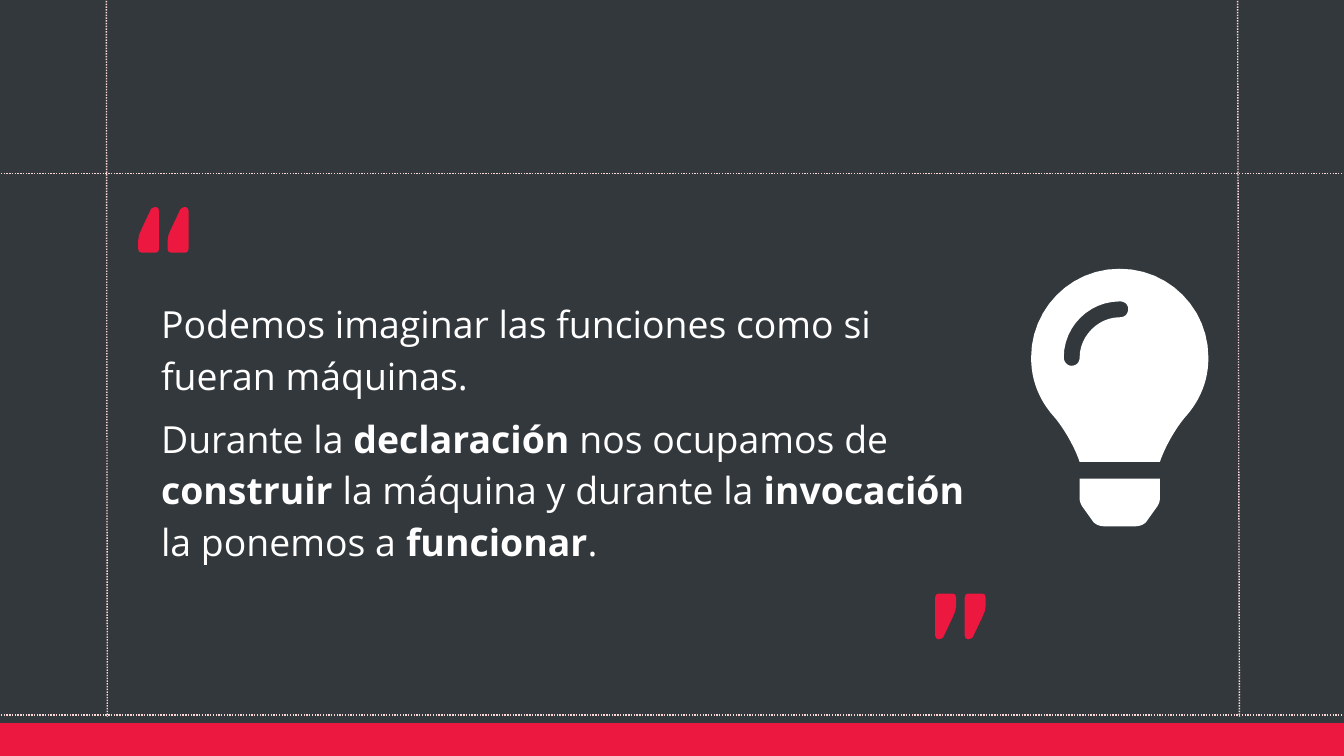
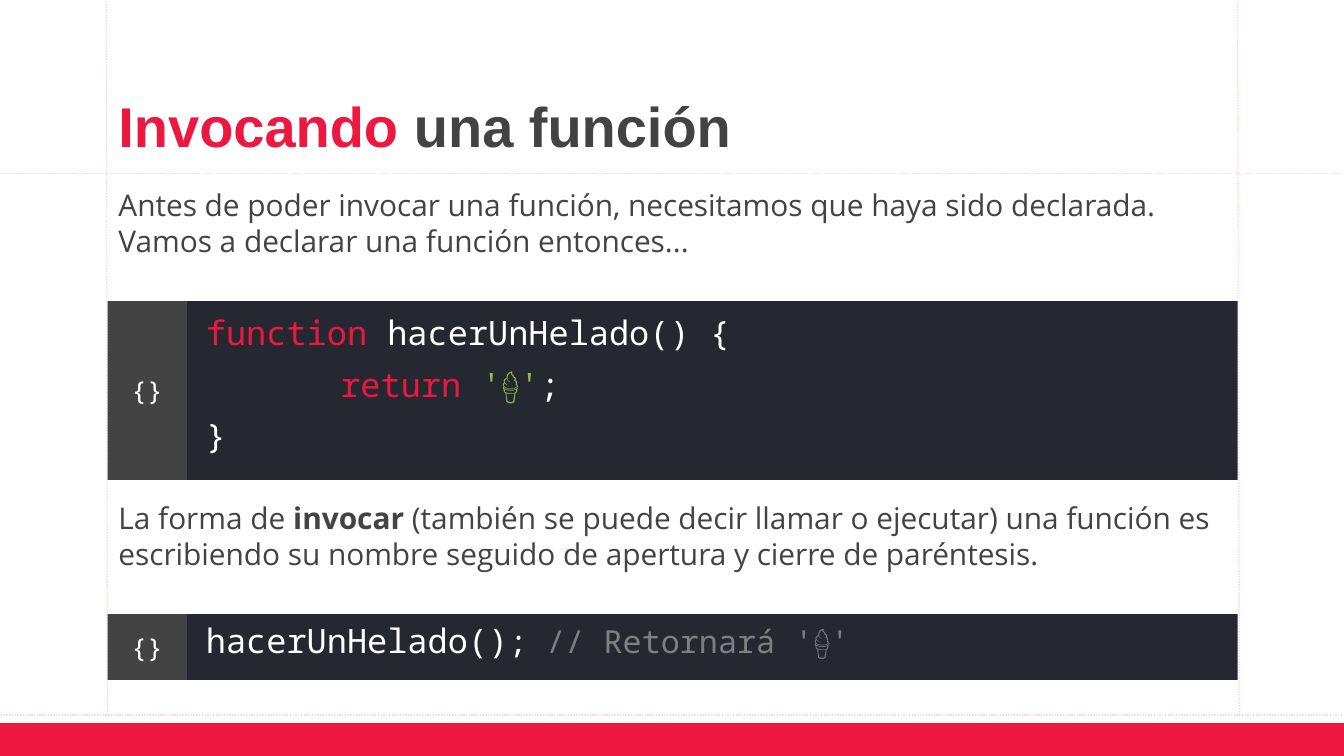
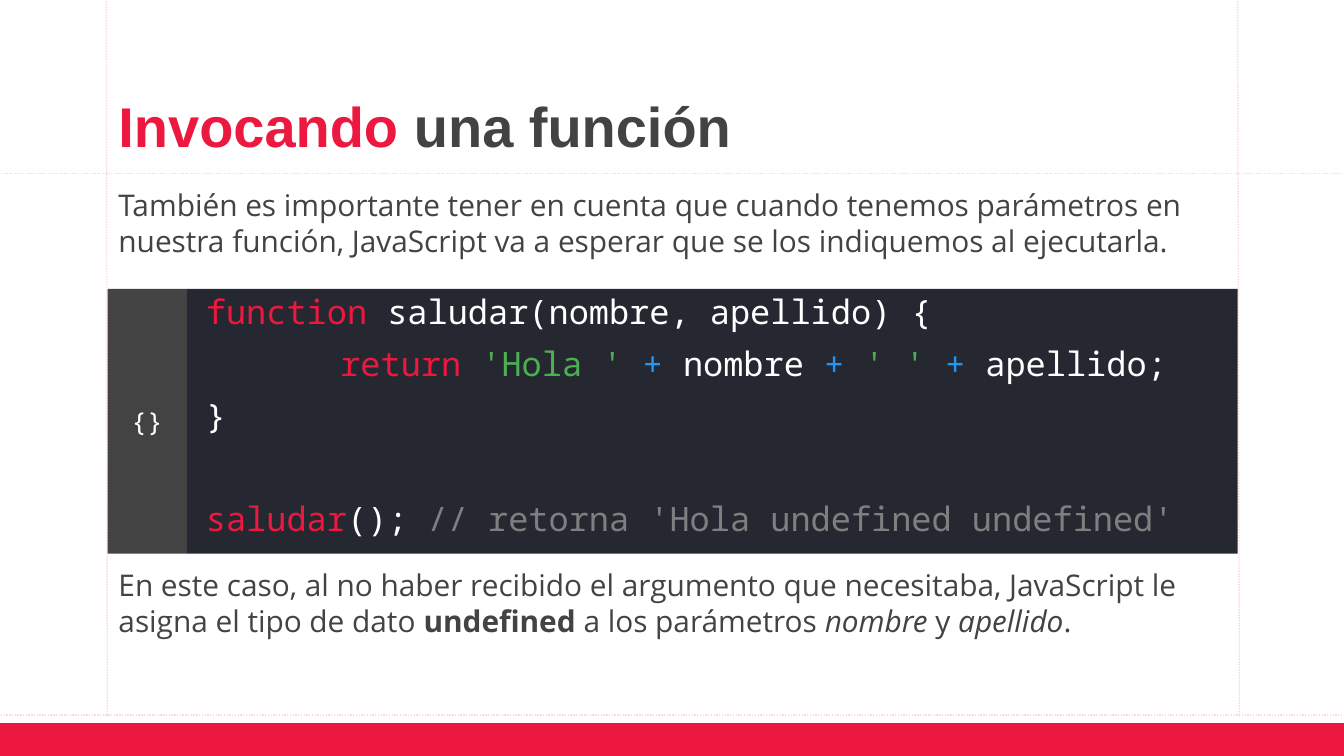
from lxml import etree
from pptx import Presentation
from pptx.dml.color import RGBColor
from pptx.enum.dml import MSO_LINE
from pptx.enum.shapes import MSO_CONNECTOR, MSO_SHAPE
from pptx.enum.text import MSO_ANCHOR, PP_ALIGN
from pptx.oxml.ns import qn
from pptx.util import Pt

STRAIGHT = MSO_CONNECTOR.STRAIGHT
RECTANGLE = MSO_SHAPE.RECTANGLE
DOTTED = MSO_LINE.ROUND_DOT
TOP, MIDDLE, BOTTOM = MSO_ANCHOR.TOP, MSO_ANCHOR.MIDDLE, MSO_ANCHOR.BOTTOM
LEFT, CENTER = PP_ALIGN.LEFT, PP_ALIGN.CENTER

WIDTH, HEIGHT = 720, 405
COLORS = {
    "red": "EC183F", "slate": "33383C", "white": "FFFFFF", "guide": "FCD8D6",
    "gray": "434343", "code": "262831", "comment": "7F7F7F",
    "lime": "8BC34A", "green": "4CAF50", "blue": "2196F3",
}
QUOTE_STYLE = {"name": "Open Sans", "size": Pt(20), "color": "white"}
BODY_STYLE = {"name": "Open Sans", "size": Pt(16), "color": "gray"}
TITLE_STYLE = {"name": "Arial", "size": Pt(30), "bold": True, "color": "gray"}
CODE_STYLE = {"name": "Noto Sans Mono", "size": Pt(18), "color": "white"}
BADGE_STYLE = {**CODE_STYLE, "size": Pt(14)}
BOLD, ITALIC = {"bold": True}, {"italic": True}
RED, COMMENT = {"color": "red"}, {"color": "comment"}
LIME, GREEN, BLUE = {"color": "lime"}, {"color": "green"}, {"color": "blue"}

GUIDES = [(57, -1, 57.5, 384), (663, -1, 664, 384),
          (-1, 93, 722, 93), (-1, 383, 722, 383)]
BAND_BOX = (-1, 387.4, 722, 19.4)
TITLE_BOX = (56.4, 43, 607, 50)
BODY_LEFT, BODY_WIDTH, BODY_HEIGHT = 56.4, 607, 38
CODE_LEFT, CODE_WIDTH, BADGE_WIDTH = 57.6, 605.5, 42.5
PARAGRAPH_GAP = 6
CODE_LINE_PITCH = 27.6

# Outlines: a pair is a corner, six numbers are a Bézier curve to the last pair.
BULB_CONTOURS = [
    [(26, 123), (26, 124.5, 26.5, 126, 27.5, 127.5), (32.5, 134.5),
     (34, 137, 36.5, 138, 39.5, 138), (55.5, 138),
     (58.5, 138, 61, 137, 62.5, 134.5), (67.5, 127.5),
     (68.5, 126, 69, 124.5, 69, 123), (69, 112.5), (26, 112.5)],
    [(0, 47.5), (0, 60, 4.5, 70.5, 12, 79), (16.5, 84, 23, 94.5, 26, 103.5),
     (69, 103.5), (72, 94.5, 78.5, 84, 83, 79), (90.5, 70.5, 95, 60, 95, 47.5),
     (95, 21.5, 74, 0, 47.5, 0), (20.5, 0, 0, 22, 0, 47.5)],
    [(47.5, 26), (36, 26, 26, 36, 26, 47.5), (26, 50, 24.5, 52, 21.5, 52),
     (19.5, 52, 17.5, 50, 17.5, 47.5), (17.5, 31, 31, 17.5, 47.5, 17.5),
     (50.5, 17.5, 52, 19.5, 52, 21.5), (52, 24, 50.5, 26, 47.5, 26)],
]
MARK_CONTOURS = [
    [(9.4, 0), (8, 0.4), (7, 1), (2, 11.5), (0.5, 15), (0, 18), (0, 22.5), (0.5, 24),
     (2, 24.5), (9.4, 24.5), (10.7, 24), (11.2, 22.5), (11.2, 2), (10.7, 0.6)],
]
MARK_STEP = 15.8


def rgb(name):
    return RGBColor.from_string(COLORS[name])


def points(box):
    return [Pt(value) for value in box]


def paint(shape, color):
    """Give the shape a flat fill without outline or shadow."""
    shape.shadow.inherit = False
    shape.fill.solid()
    shape.fill.fore_color.rgb = rgb(color)
    shape.line.fill.background()


def add_rectangle(slide, box, color):
    shape = slide.shapes.add_shape(RECTANGLE, *points(box))
    paint(shape, color)
    return shape


def set_frame(shape, anchor, insets):
    formats = {"word_wrap": True, "vertical_anchor": anchor}
    sides = ("margin_left", "margin_top", "margin_right", "margin_bottom")
    formats.update(zip(sides, points(insets)))
    for name, value in formats.items():
        setattr(shape.text_frame, name, value)


def add_run(paragraph, text, style):
    run = paragraph.add_run()
    run.text = text
    for name, value in style.items():
        if name == "color":
            run.font.color.rgb = rgb(value)
        else:
            setattr(run.font, name, value)


def add_tab_stop(paragraph, position):
    tabs = etree.SubElement(paragraph._p.get_or_add_pPr(), qn("a:tabLst"))
    etree.SubElement(tabs, qn("a:tab"), pos=str(Pt(position)), algn="l")


def write(shape, paragraphs, style, align=LEFT, line_spacing=1.0):
    """Fill the shape; a run is a string or a (string, style changes) pair.

    An empty paragraph adds one line of space before the next.
    """
    frame = shape.text_frame
    paragraph, gap = frame.paragraphs[0], 0
    for index, runs in enumerate(paragraphs):
        if not runs:
            gap += CODE_LINE_PITCH
            continue
        if index:
            paragraph = frame.add_paragraph()
        if runs[0] == "\t":
            add_tab_stop(paragraph, 72)
        formats = {"alignment": align, "line_spacing": line_spacing, "space_before": Pt(gap)}
        for name, value in formats.items():
            setattr(paragraph, name, value)
        for run in runs:
            text, changes = (run, {}) if isinstance(run, str) else run
            add_run(paragraph, text, {**style, **changes})
        gap = PARAGRAPH_GAP


def add_text(slide, box, paragraphs, style, anchor=TOP, insets=(7.2,) * 4, line_spacing=1.0):
    shape = slide.shapes.add_textbox(*points(box))
    set_frame(shape, anchor, insets)
    write(shape, paragraphs, style, line_spacing=line_spacing)


def flatten(contour, left, top, steps=12):
    """Turn a contour into absolute vertices, sampling its curves."""
    vertices = [contour[0]]
    for segment in contour[1:]:
        if len(segment) == 2:
            vertices.append(segment)
            continue
        controls = [vertices[-1], segment[:2], segment[2:4], segment[4:]]
        for step in range(1, steps + 1):
            t = step / steps
            weights = ((1 - t) ** 3, 3 * t * (1 - t) ** 2, 3 * t ** 2 * (1 - t), t ** 3)
            vertices.append(tuple(
                sum(weight * control[axis] for weight, control in zip(weights, controls))
                for axis in (0, 1)))
    return [(Pt(left + x), Pt(top + y)) for x, y in vertices]


def add_outline(slide, left, top, contours, color):
    outlines = [flatten(contour, left, top) for contour in contours]
    builder = slide.shapes.build_freeform(*outlines[0][0])
    for index, outline in enumerate(outlines):
        if index:
            builder.move_to(*outline[0])
        builder.add_line_segments(outline[1:], close=True)
    shape = builder.convert_to_shape()
    paint(shape, color)
    return shape


def add_quote_marks(slide, left, top, rotation=0):
    for index in range(2):
        mark = add_outline(slide, left + index * MARK_STEP, top, MARK_CONTOURS, "red")
        mark.rotation = rotation


def add_title(slide):
    add_text(slide, TITLE_BOX, [[("Invocando", RED), " una función"]], TITLE_STYLE,
             anchor=BOTTOM, line_spacing=0.9)


def add_body(slide, top, runs):
    add_text(slide, (BODY_LEFT, top, BODY_WIDTH, BODY_HEIGHT), [runs], BODY_STYLE)


def add_code_block(slide, top, height, lines):
    panel_box = (CODE_LEFT + BADGE_WIDTH, top, CODE_WIDTH - BADGE_WIDTH, height)
    panel = add_rectangle(slide, panel_box, "code")
    set_frame(panel, MIDDLE, (10.2, 0, 7.2, 7.2))
    write(panel, lines, CODE_STYLE)
    badge = add_rectangle(slide, (CODE_LEFT, top, BADGE_WIDTH, height), "gray")
    set_frame(badge, MIDDLE, (7.2,) * 4)
    write(badge, [["{}"]], BADGE_STYLE, align=CENTER)


def add_base_slide(presentation, background):
    """Add a slide with the shared guides and bottom band."""
    slide = presentation.slides.add_slide(presentation.slide_layouts[6])
    slide.background.fill.solid()
    slide.background.fill.fore_color.rgb = rgb(background)
    for ends in GUIDES:
        guide = slide.shapes.add_connector(STRAIGHT, *points(ends))
        guide.line.color.rgb = rgb("guide")
        guide.line.width = Pt(0.75)
        guide.line.dash_style = DOTTED
        etree.SubElement(guide._element.spPr, qn("a:effectLst"))
    add_rectangle(slide, BAND_BOX, "red")
    return slide


def build_quote_slide(presentation):
    slide = add_base_slide(presentation, "slate")
    add_text(slide, (79.2, 150, 456, 160), [
        ["Podemos imaginar las funciones como si fueran máquinas."],
        ["Durante la ", ("declaración", BOLD), " nos ocupamos de ", ("construir", BOLD),
         " la máquina y durante la ", ("invocación", BOLD), " la ponemos a ",
         ("funcionar", BOLD), "."],
    ], QUOTE_STYLE, anchor=MIDDLE, insets=(7.2, 3.6, 7.2, 3.6), line_spacing=1.15)
    add_outline(slide, 552.4, 144, BULB_CONTOURS, "white")
    add_quote_marks(slide, 74, 110.9)
    add_quote_marks(slide, 501, 318, rotation=180)


def build_call_slide(presentation):
    slide = add_base_slide(presentation, "white")
    add_title(slide)
    add_body(slide, 93, [
        "Antes de poder invocar una función, necesitamos que haya sido declarada. "
        "Vamos a declarar una función entonces..."])
    add_code_block(slide, 161.3, 95.8, [
        [("function", RED), " hacerUnHelado() {"],
        ["\t", ("return ", RED), ("'🍦'", LIME), ";"],
        ["}"],
    ])
    add_body(slide, 260.7, [
        "La forma de ", ("invocar", BOLD),
        " (también se puede decir llamar o ejecutar) una función es "
        "escribiendo su nombre seguido de apertura y cierre de paréntesis."])
    small = {"size": Pt(17)}
    add_code_block(slide, 329, 35.3, [
        ["hacerUnHelado()", ("; ", small), ("// Retornará '🍦'", {**small, **COMMENT})],
    ])


def build_parameters_slide(presentation):
    slide = add_base_slide(presentation, "white")
    add_title(slide)
    add_body(slide, 93, [
        "También es importante tener en cuenta que cuando tenemos parámetros en "
        "nuestra función, JavaScript va a esperar que se los indiquemos al ejecutarla."])
    add_code_block(slide, 154.8, 141.8, [
        [("function", RED), " saludar(nombre, apellido) {"],
        ["\t", ("return ", RED), ("'Hola ' ", GREEN), ("+", BLUE), " nombre ",
         ("+ ", BLUE), ("' ' ", GREEN), ("+", BLUE), " apellido;"],
        ["}"],
        [],
        [("saludar", RED), "(); ", ("// retorna 'Hola undefined undefined'", COMMENT)],
    ])
    add_body(slide, 296.6, [
        "En este caso, al no haber recibido el argumento que necesitaba, JavaScript le "
        "asigna el tipo de dato ", ("undefined", BOLD), " a los parámetros ",
        ("nombre", ITALIC), " y ", ("apellido", ITALIC), "."])


def main():
    presentation = Presentation()
    presentation.slide_width = Pt(WIDTH)
    presentation.slide_height = Pt(HEIGHT)
    build_quote_slide(presentation)
    build_call_slide(presentation)
    build_parameters_slide(presentation)
    presentation.save("out.pptx")


if __name__ == "__main__":
    main()
